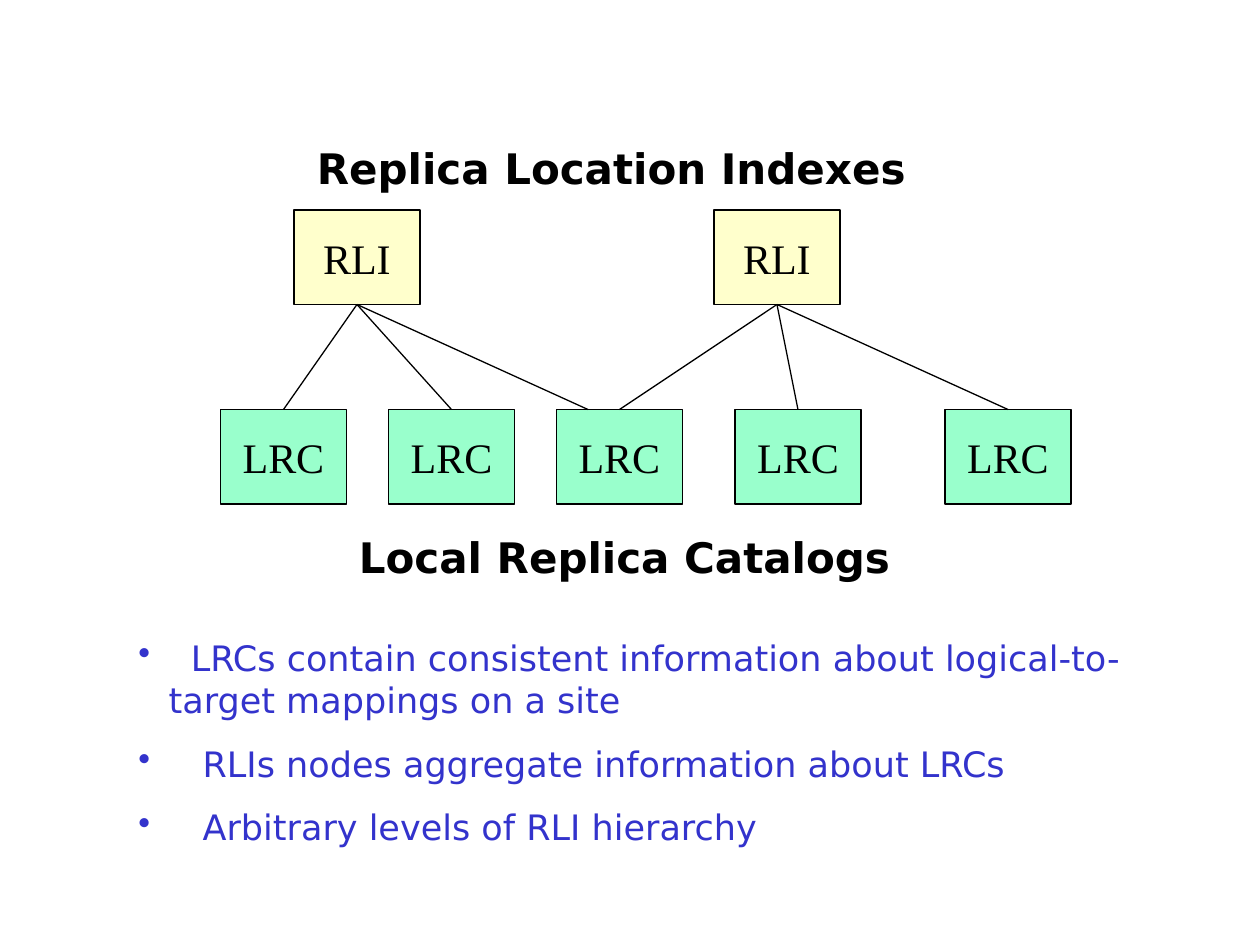
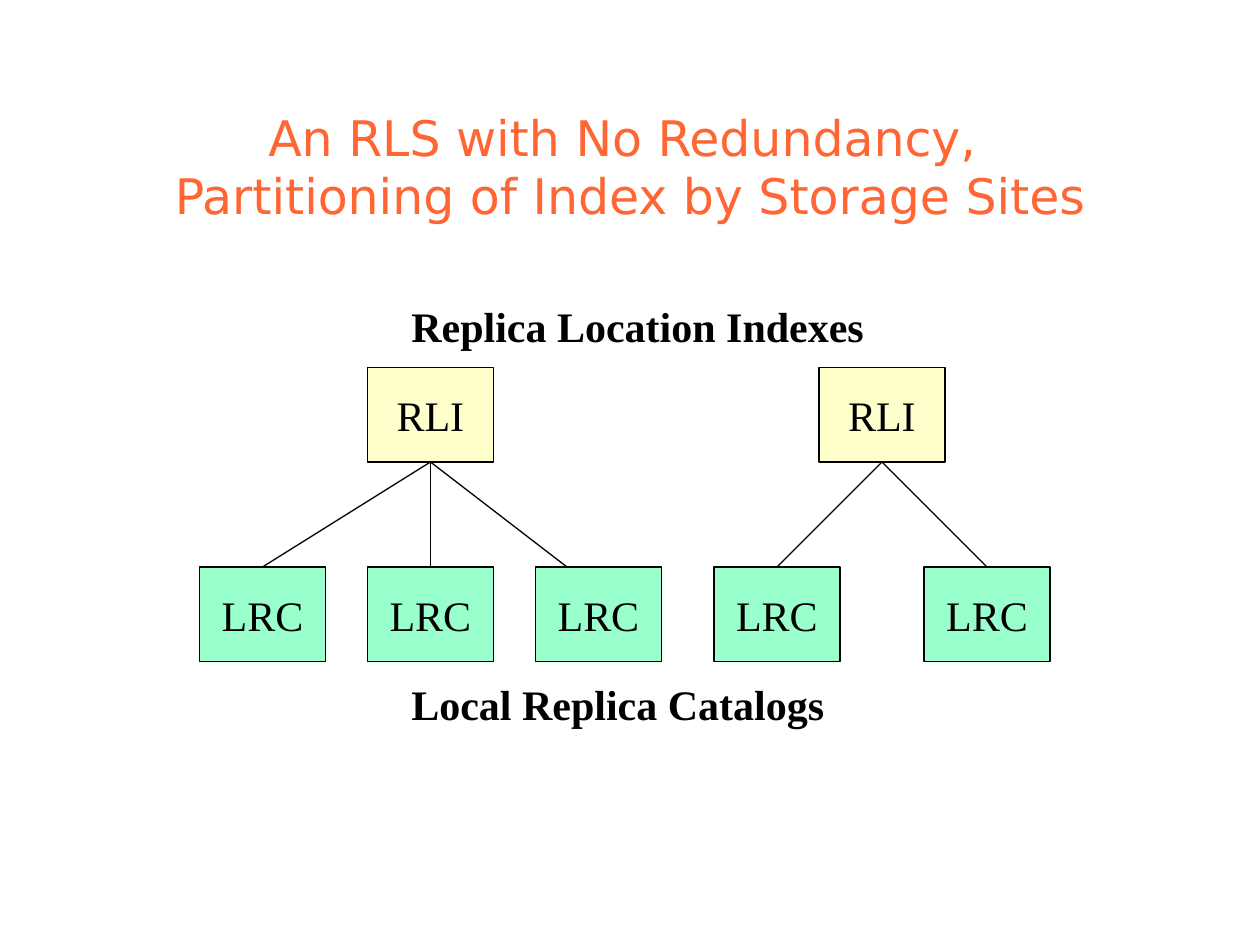
"""Build two slides that show how replica indexes link to local catalogs."""
from lxml import etree
from pptx import Presentation
from pptx.dml.color import RGBColor
from pptx.enum.shapes import MSO_CONNECTOR, MSO_SHAPE
from pptx.enum.text import MSO_ANCHOR, MSO_AUTO_SIZE, PP_ALIGN
from pptx.oxml.ns import qn
from pptx.util import Pt

RECTANGLE, STRAIGHT = MSO_SHAPE.RECTANGLE, MSO_CONNECTOR.STRAIGHT
LEFT, CENTER = PP_ALIGN.LEFT, PP_ALIGN.CENTER
TOP, MIDDLE, BOTTOM = MSO_ANCHOR.TOP, MSO_ANCHOR.MIDDLE, MSO_ANCHOR.BOTTOM
FIT_SHAPE, FIXED = MSO_AUTO_SIZE.SHAPE_TO_FIT_TEXT, MSO_AUTO_SIZE.NONE

SANS, SERIF = "DejaVu Sans", "Times New Roman"
BLACK, BLUE, ORANGE = "000000", "3333CC", "FF6633"
INDEX_FILL, CATALOG_FILL = "FFFFCC", "99FFCC"
BOX_WIDTH, BOX_HEIGHT, ROW_STEP = 96, 72, 152
CATALOG_OFFSETS = [0, 128, 256, 392, 552]
SHARED_CATALOG, SHARED_SHIFT = 2, 24
HANGING = 23

NODE_FONT = {"name": SERIF, "size": Pt(24)}
BULLET_FONT = {"name": SANS, "size": Pt(20)}
TITLE_FONT = {"name": SANS, "size": Pt(28)}

DIAGRAMS = [
    {
        "index_top": 160, "index_lefts": [224, 544], "catalog_left": 168,
        "links": [(0, 0), (1, 0), (2, 0), (2, 1), (3, 1), (4, 1)],
        "label_font": SANS, "index_label": (232, 104), "catalog_label": (264, 400),
    },
    {
        "index_top": 280, "index_lefts": [280, 624], "catalog_left": 152,
        "links": [(0, 0), (1, 0), (2, 0), (3, 1), (4, 1)],
        "label_font": SERIF, "index_label": (304, 224), "catalog_label": (304, 512),
    },
]
BULLETS = [
    ("LRCs contain consistent information about logical-to-target mappings on a site", 40),
    ("RLIs nodes aggregate information about LRCs", 49),
    ("Arbitrary levels of RLI hierarchy", 49),
]


def px(*lengths):
    """Convert lengths in px to EMU."""
    return [length * 9525 for length in lengths]


def write(shape, lines, font, color=BLACK, align=LEFT, anchor=TOP, wrap=True, fit=FIXED):
    """Fill a shape with formatted paragraphs and return them."""
    frame = shape.text_frame
    frame.text = "\n".join(lines)
    frame.word_wrap, frame.auto_size, frame.vertical_anchor = wrap, fit, anchor
    for paragraph in frame.paragraphs:
        paragraph.alignment = align
        for run in paragraph.runs:
            for name, value in font.items():
                setattr(run.font, name, value)
            run.font.color.rgb = RGBColor.from_string(color)
    return frame.paragraphs


presentation = Presentation()
presentation.slide_width, presentation.slide_height = px(960, 720)
slides = []

for diagram in DIAGRAMS:
    slide = presentation.slides.add_slide(presentation.slide_layouts[6])
    slides.append(slide)
    index_top = diagram["index_top"]
    catalog_top = index_top + ROW_STEP
    catalog_lefts = [diagram["catalog_left"] + offset for offset in CATALOG_OFFSETS]

    rows = []
    for name, lefts, top, fill in [
        ("RLI", diagram["index_lefts"], index_top, INDEX_FILL),
        ("LRC", catalog_lefts, catalog_top, CATALOG_FILL),
    ]:
        row = []
        for left in lefts:
            box = slide.shapes.add_shape(RECTANGLE, *px(left, top, BOX_WIDTH, BOX_HEIGHT))
            box.shadow.inherit = False
            box.fill.solid()
            box.fill.fore_color.rgb = RGBColor.from_string(fill)
            box.line.color.rgb = RGBColor.from_string(BLACK)
            box.line.width = Pt(0.75)
            write(box, [name], NODE_FONT, align=CENTER, anchor=MIDDLE, wrap=False)
            row.append(box)
        rows.append(row)
    indexes, catalogs = rows

    for catalog, index in diagram["links"]:
        shifted = (catalog, index) == (SHARED_CATALOG, 0)
        start = catalog_lefts[catalog] + BOX_WIDTH // 2 - SHARED_SHIFT * shifted
        end = diagram["index_lefts"][index] + BOX_WIDTH // 2
        link = slide.shapes.add_connector(
            STRAIGHT, *px(start, catalog_top, end, index_top + BOX_HEIGHT))
        if not shifted:
            link.begin_connect(catalogs[catalog], 0)
        link.end_connect(indexes[index], 2)
        link.line.color.rgb = RGBColor.from_string(BLACK)
        link.line.width = Pt(0.75)
        properties = link._element.spPr
        etree.SubElement(properties, qn("a:effectLst"))

    label_font = {"name": diagram["label_font"], "size": Pt(24), "bold": True}
    for text, position, width in [
        ("Replica Location Indexes", diagram["index_label"], 496),
        ("Local Replica Catalogs", diagram["catalog_label"], 432),
    ]:
        label = slide.shapes.add_textbox(*px(*position, width, 48))
        write(label, [text], label_font, fit=FIT_SHAPE)

overview, partitioned = slides

notes = overview.shapes.add_textbox(*px(96, 480, 808, 171))
paragraphs = write(notes, ["\t" + text for text, stop in BULLETS], BULLET_FONT, BLUE, fit=FIT_SHAPE)
for number, (paragraph, (text, stop)) in enumerate(zip(paragraphs, BULLETS)):
    properties = paragraph._p.get_or_add_pPr()
    properties.set("marL", str(*px(HANGING)))
    properties.set("indent", str(*px(-HANGING)))
    bullet_color = etree.SubElement(properties, qn("a:buClr"))
    etree.SubElement(bullet_color, qn("a:srgbClr"), val=BLUE)
    etree.SubElement(properties, qn("a:buChar"), char="•")
    tabs = etree.SubElement(properties, qn("a:tabLst"))
    etree.SubElement(tabs, qn("a:tab"), pos=str(*px(stop)), algn="l")
    if number:
        paragraph.space_before = Pt(12.5)

title = partitioned.shapes.add_textbox(*px(72, 96, 816, 80))
write(title, ["An RLS with No Redundancy, \vPartitioning of Index by Storage Sites"],
      TITLE_FONT, ORANGE, CENTER, BOTTOM)

presentation.save("out.pptx")
